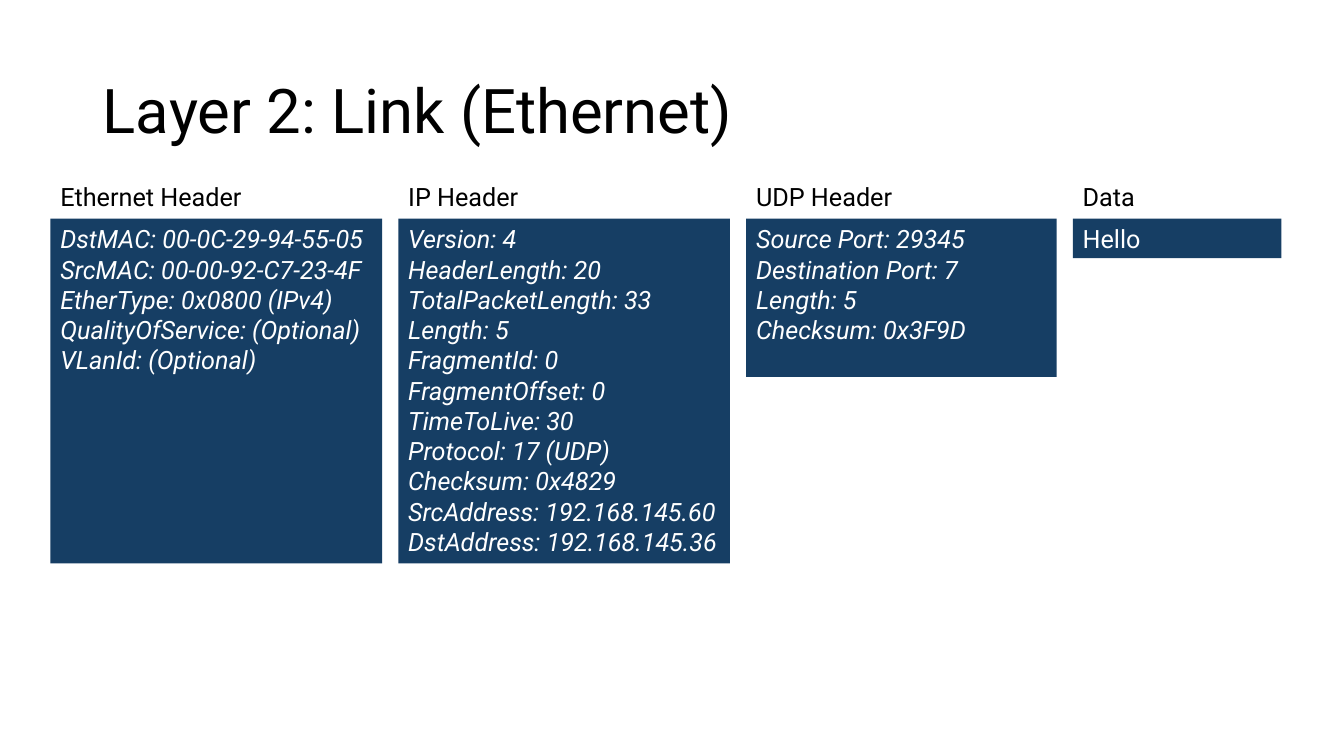
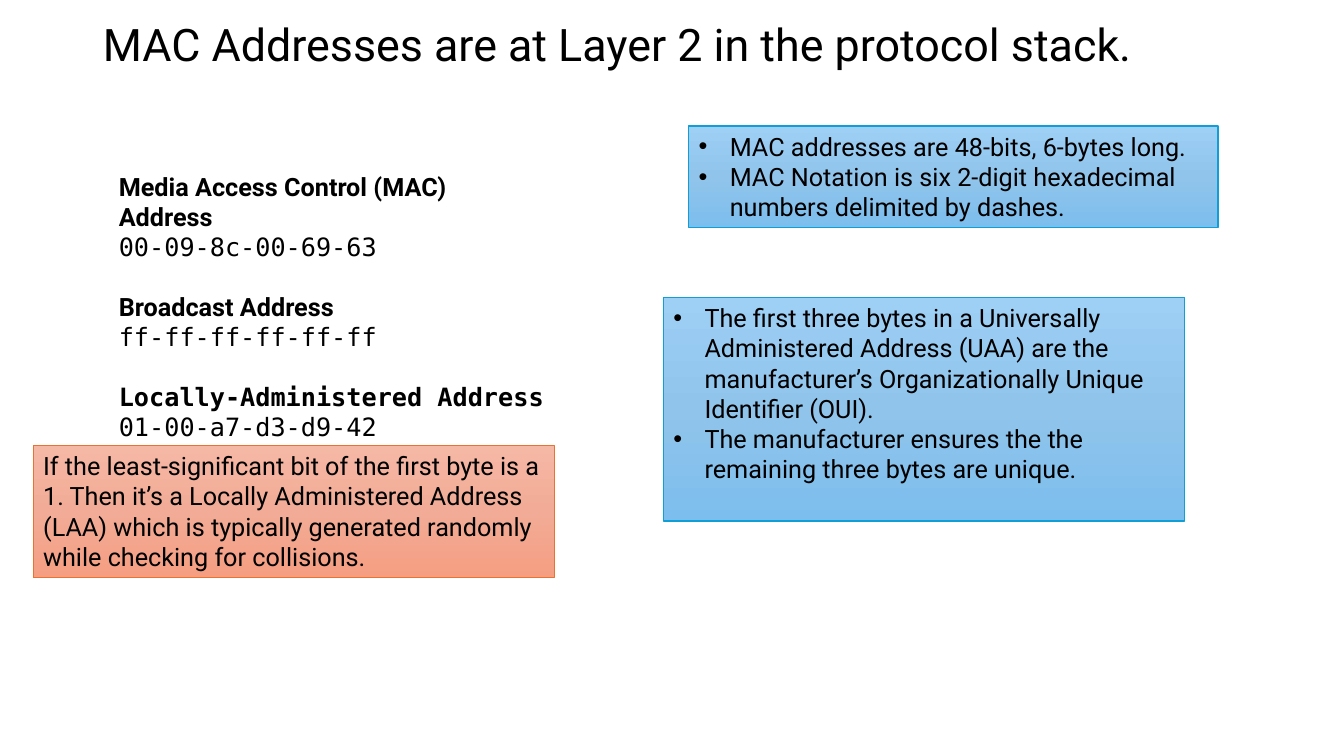
"""Build two slides on Ethernet headers and MAC addresses."""
from copy import deepcopy

from lxml.etree import SubElement
from pptx import Presentation
from pptx.dml.color import RGBColor
from pptx.enum.shapes import MSO_SHAPE
from pptx.enum.text import MSO_ANCHOR, MSO_AUTO_SIZE, PP_ALIGN
from pptx.oxml.ns import qn
from pptx.util import Inches, Pt

COLORS = {"text": "000000", "white": "FFFFFF", "navy": "163E64"}
CALLOUT_STYLES = {
    "blue": {"stops": ("9ECFF5", "90C4EB", "7CBEED"), "line": "0F9ED5"},
    "orange": {"stops": ("F5B8A5", "F2AB96", "F59E82"), "line": "E97132"},
}
SANS, MONO = "Roboto", "DejaVu Sans Mono"
BODY = {"name": SANS, "size": Pt(18), "bold": False, "italic": False}
TITLE_ONLY = 5

HEADERS_TITLE = ("Layer 2: Link (Ethernet)", 0.4, 1.45, 44)
HEADERS = [
    {"name": "Ethernet Header", "width": 3.29, "height": 3.42, "italic": True, "fields": [
        "DstMAC: 00-0C-29-94-55-05", "SrcMAC: 00-00-92-C7-23-4F",
        "EtherType: 0x0800 (IPv4)", "QualityOfService: (Optional)", "VLanId: (Optional)"]},
    {"name": "IP Header", "width": 3.29, "height": 3.42, "italic": True, "fields": [
        "Version: 4", "HeaderLength: 20", "TotalPacketLength: 33", "Length: 5",
        "FragmentId: 0", "FragmentOffset: 0", "TimeToLive: 30", "Protocol: 17 (UDP)",
        "Checksum: 0x4829", "SrcAddress: 192.168.145.60", "DstAddress: 192.168.145.36"]},
    {"name": "UDP Header", "width": 3.08, "height": 1.57, "italic": True, "fields": [
        "Source Port: 29345", "Destination Port: 7", "Length: 5", "Checksum: 0x3F9D"]},
    {"name": "Data", "width": 2.07, "height": 0.39, "italic": False, "fields": ["Hello"]},
]
HEADERS_LEFT, HEADERS_GAP, LABEL_TOP, HEADERS_TOP = 0.5, 0.16, 1.75, 2.17

MAC_TITLE = ("MAC Addresses are at Layer 2 in the protocol stack.", 0, 0.93, 32)
ADDRESSES_BOX = (1.08, 1.65, 4.42, 2.52)
ADDRESSES = [
    ("Media Access Control (MAC) Address", SANS, "00-09-8c-00-69-63"),
    ("Broadcast Address", SANS, "ff-ff-ff-ff-ff-ff"),
    ("Locally-Administered Address", MONO, "01-00-a7-d3-d9-42"),
]
CALLOUTS = [
    ((6.83, 1.25, 5.25, 1.01), "blue", True, [
        "MAC addresses are 48-bits, 6-bytes long.",
        "MAC Notation is six 2-digit hexadecimal numbers delimited by dashes."]),
    ((0.33, 4.42, 5.17, 1.31), "orange", False, [
        "If the least-significant bit of the first byte is a 1. Then it’s a Locally "
        "Administered Address (LAA) which is typically generated randomly while "
        "checking for collisions."]),
    ((6.58, 2.95, 5.17, 2.22), "blue", True, [
        "The first three bytes in a Universally Administered Address (UAA) are the "
        "manufacturer’s Organizationally Unique Identifier (OUI).",
        "The manufacturer ensures the the remaining three bytes are unique."]),
]


def rgb(value):
    return RGBColor.from_string(COLORS.get(value, value))


def format_font(font, color="text", **changes):
    for name, value in {**BODY, **changes}.items():
        setattr(font, name, value)
    font.color.rgb = rgb(color)


def add_bullet(paragraph):
    properties = paragraph._p.get_or_add_pPr()
    properties.set("marL", str(Inches(0.31)))
    properties.set("indent", str(Inches(-0.31)))
    SubElement(properties, qn("a:buFont"), typeface="Arial")
    SubElement(properties, qn("a:buChar"), char="•")


def write_lines(shape, lines, bulleted=False, **font):
    frame = shape.text_frame
    frame.word_wrap = True
    frame.vertical_anchor = MSO_ANCHOR.TOP
    frame.text = "\n".join(lines)
    for paragraph in frame.paragraphs:
        paragraph.alignment = PP_ALIGN.LEFT
        if bulleted:
            add_bullet(paragraph)
        format_font(paragraph.font, **font)
    return frame.paragraphs


def add_text(slide, box, lines, **font):
    return write_lines(slide.shapes.add_textbox(*map(Inches, box)), lines, **font)


def add_box(slide, box):
    shape = slide.shapes.add_shape(MSO_SHAPE.RECTANGLE, *map(Inches, box))
    shape.shadow.inherit = False
    return shape


def add_titled_slide(presentation, text, top, height, size):
    slide = presentation.slides.add_slide(presentation.slide_layouts[TITLE_ONLY])
    title = slide.shapes.title
    title.left, title.top, title.width, title.height = map(Inches, (0.92, top, 11.5, height))
    paragraph = write_lines(title, [text], size=Pt(size))[0]
    paragraph.line_spacing = 0.9
    title.text_frame.vertical_anchor = MSO_ANCHOR.MIDDLE
    title.text_frame.auto_size = MSO_AUTO_SIZE.NONE
    return slide


def add_headers(slide):
    left = HEADERS_LEFT
    for header in HEADERS:
        width = header["width"]
        add_text(slide, (left, LABEL_TOP, width, 0.4), [header["name"]])
        box = add_box(slide, (left, HEADERS_TOP, width, header["height"]))
        box.fill.solid()
        box.fill.fore_color.rgb = rgb("navy")
        box.line.fill.background()
        write_lines(box, header["fields"], color="white", italic=header["italic"])
        left += width + HEADERS_GAP


def add_addresses(slide):
    lines = [line for name, _, address in ADDRESSES for line in (name, address)]
    paragraphs = add_text(slide, ADDRESSES_BOX, lines)
    for index, (_, font_name, _) in enumerate(ADDRESSES):
        heading, address = paragraphs[2 * index:2 * index + 2]
        format_font(heading.font, name=font_name, bold=True)
        format_font(address.font, name=MONO)
        if index:
            heading.space_before = Pt(21)


def add_callout(slide, box, style_name, bulleted, lines):
    style = CALLOUT_STYLES[style_name]
    shape = add_box(slide, box)
    shape.fill.gradient()
    shape.fill.gradient_angle = 270
    stop_list = shape._element.spPr.find(".//" + qn("a:gsLst"))
    stop_list.insert(1, deepcopy(stop_list[0]))
    for stop, color, position in zip(shape.fill.gradient_stops, style["stops"], (0, 0.5, 1)):
        stop.color.rgb = rgb(color)
        stop.position = position
    shape.line.color.rgb = rgb(style["line"])
    shape.line.width = Pt(1)
    write_lines(shape, lines, bulleted)


def main():
    presentation = Presentation()
    presentation.slide_width, presentation.slide_height = Inches(13.33), Inches(7.5)
    add_headers(add_titled_slide(presentation, *HEADERS_TITLE))
    mac_slide = add_titled_slide(presentation, *MAC_TITLE)
    add_addresses(mac_slide)
    for callout in CALLOUTS:
        add_callout(mac_slide, *callout)
    presentation.save("out.pptx")


if __name__ == "__main__":
    main()
